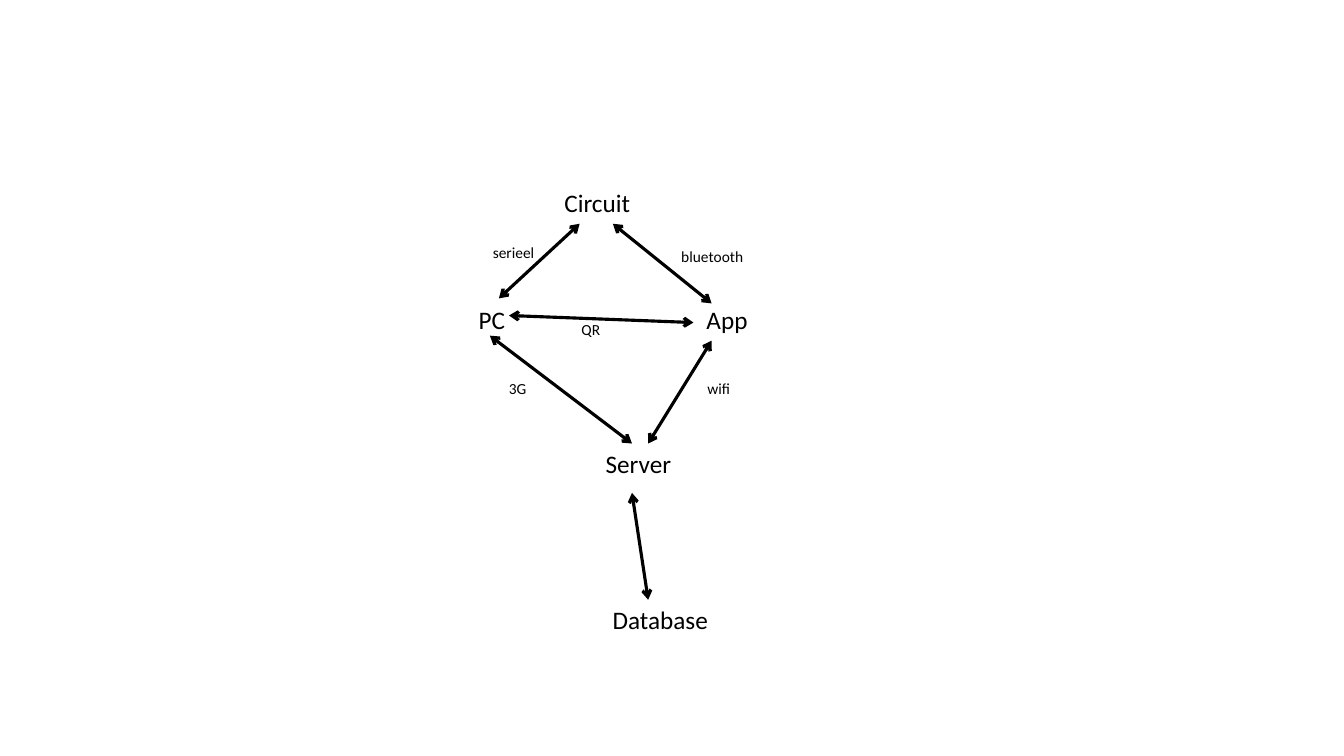
from pptx import Presentation
from pptx.dml.color import RGBColor
from pptx.enum.shapes import MSO_CONNECTOR as Connector
from pptx.enum.text import MSO_AUTO_SIZE as AutoSize
from pptx.oxml.ns import qn
from pptx.util import Inches, Pt
from lxml.etree import SubElement

BLACK = "000000"
SLIDE_WIDTH, SLIDE_HEIGHT = Inches(13.33), Inches(7.5)

# The diagram box in shares of the slide, and the grid laid over it.
DIAGRAM_BOX = (0.345, 0.24, 0.3, 2 / 3)
COLUMNS, ROWS = 40, 50

# Size of each label in columns and rows, and its font size.
DEVICE_STYLE = {"width": 17, "height": 4, "size": 18}
PROTOCOL_STYLE = {"width": 19.3, "height": 2.9, "size": 11}

# Top left corner of each label, in columns and rows.
DEVICES = {
    "Circuit": (9, 0.1),
    "PC": (0.5, 11.7),
    "Server": (13.1, 26),
    "App": (23.1, 11.7),
    "Database": (13.8, 41.5),
}
PROTOCOLS = {
    "bluetooth": (20.6, 6),
    "wifi": (23.2, 19.1),
    "3G": (3.5, 19.1),
    "serieel": (1.9, 5.6),
    "QR": (10.7, 13.3),
}
# Start and end of each link, in columns and rows.
LINKS = [
    ((11.5, 4.2), (3.5, 11.6)),     # circuit - PC
    ((4.5, 13.3), (22.8, 14)),      # PC - app
    ((24.6, 15.8), (18.3, 26)),     # app - server
    ((2.6, 15.3), (16.7, 26)),      # PC - server
    ((16.7, 30.9), (18.3, 41.5)),   # server - database
    ((14.8, 4.2), (24.6, 12.1)),    # circuit - app
]


def colour(hex_value):
    """Turn a hex string into a colour."""
    return RGBColor.from_string(hex_value)


def set_all(target, formats):
    """Set every attribute named in formats on target."""
    for name, value in formats.items():
        setattr(target, name, value)


def add_label(slide, wording, corner, extent, size):
    """Write one label at a corner with the given extent."""
    label = slide.shapes.add_textbox(*corner, *extent)
    set_all(label.text_frame, {"word_wrap": True,
                               "auto_size": AutoSize.SHAPE_TO_FIT_TEXT})
    run = label.text_frame.paragraphs[0].add_run()
    run.text = wording
    set_all(run.font, {"name": "Calibri", "size": Pt(size)})
    run.font.color.rgb = colour(BLACK)


def add_link(slide, start, end):
    """Draw a line with an open arrowhead at both ends."""
    link = slide.shapes.add_connector(Connector.STRAIGHT, *start, *end)
    link.line.width = Pt(2.25)
    link.line.color.rgb = colour(BLACK)
    outline = link.line._get_or_add_ln()
    for tip in ("a:headEnd", "a:tailEnd"):
        SubElement(outline, qn(tip), type="arrow")
    SubElement(link._element.spPr, qn("a:effectLst"))


def add_network_diagram(slide, left, top, width, height):
    """Place devices, links and protocols on the grid of the given box."""
    column, row = width / COLUMNS, height / ROWS

    def point(cell):
        return round(left + cell[0] * column), round(top + cell[1] * row)

    def add_labels(labels, style):
        extent = round(style["width"] * column), round(style["height"] * row)
        for wording, cell in labels.items():
            add_label(slide, wording, point(cell), extent, style["size"])

    add_labels(DEVICES, DEVICE_STYLE)
    for start, end in LINKS:
        add_link(slide, point(start), point(end))
    add_labels(PROTOCOLS, PROTOCOL_STYLE)


def main():
    """Build the slide and save it."""
    deck = Presentation()
    set_all(deck, {"slide_width": SLIDE_WIDTH, "slide_height": SLIDE_HEIGHT})
    slide = deck.slides.add_slide(deck.slide_layouts[6])
    left, top, width, height = DIAGRAM_BOX
    add_network_diagram(slide, left * SLIDE_WIDTH, top * SLIDE_HEIGHT,
                        width * SLIDE_WIDTH, height * SLIDE_HEIGHT)
    deck.save("out.pptx")


main()
